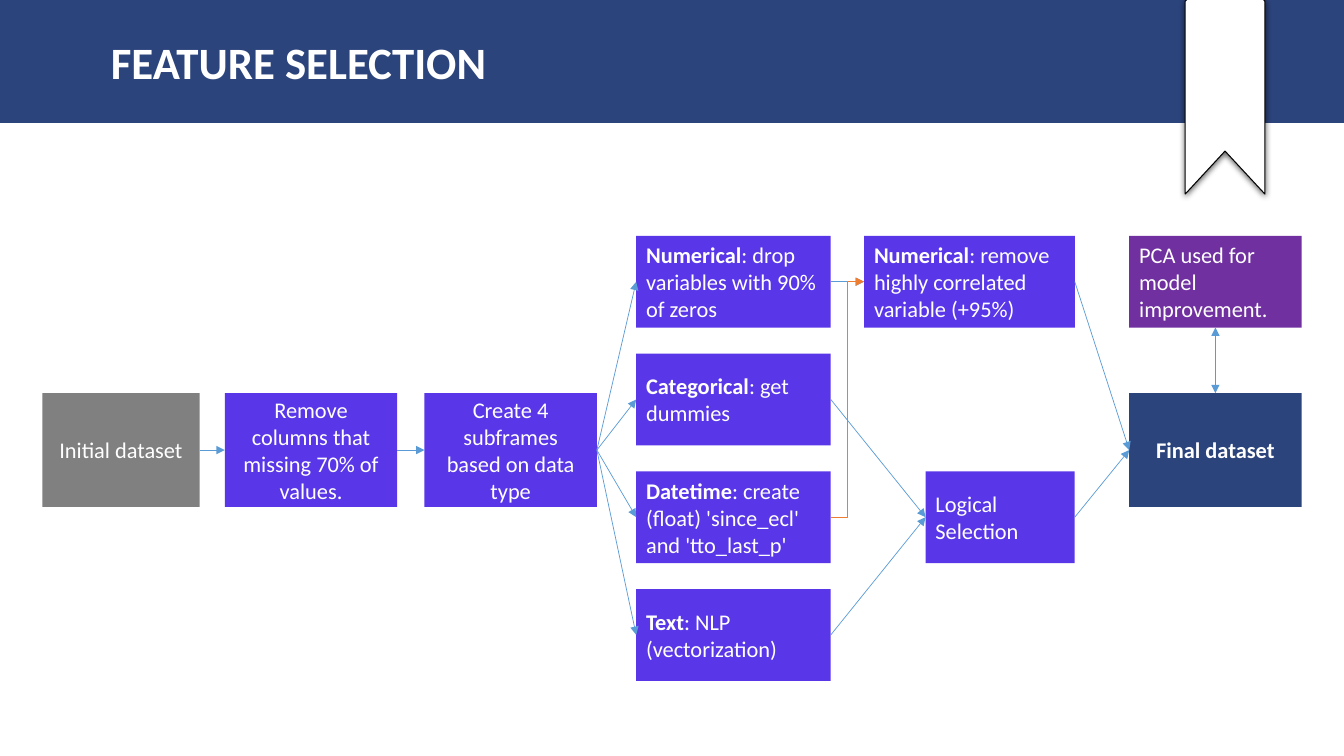
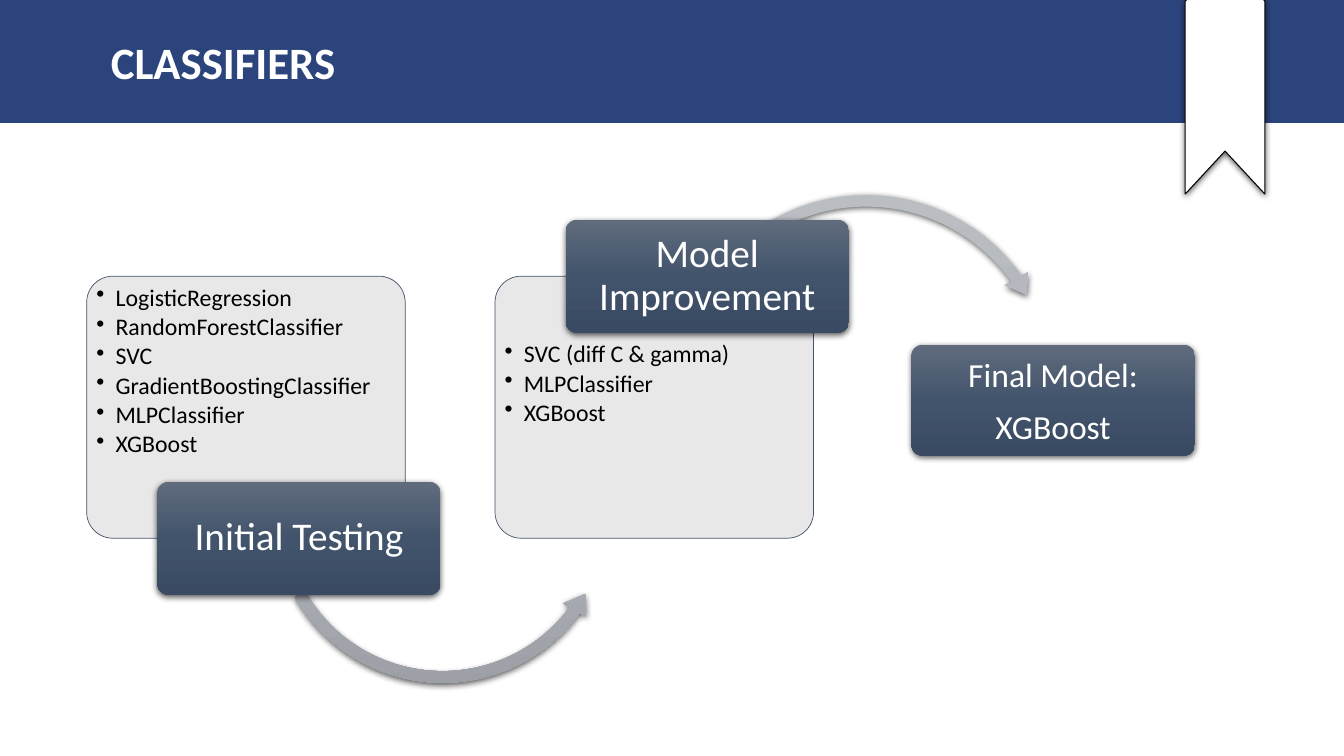
from copy import deepcopy
from dataclasses import dataclass
from lxml.etree import SubElement
from pptx import Presentation
from pptx.dml.color import RGBColor
from pptx.enum.shapes import MSO_CONNECTOR, MSO_SHAPE
from pptx.enum.text import MSO_ANCHOR, PP_ALIGN
from pptx.oxml.ns import qn
from pptx.util import Inches, Pt


@dataclass(frozen=True)
class Theme:
    font: str = "Calibri"
    title_size: int = 32
    button_size: int = 28
    result_size: int = 24
    list_size: int = 17
    node_size: int = 16
    white: str = "FFFFFF"
    black: str = "000000"
    navy: str = "2C447C"
    violet: str = "5937E9"
    purple: str = "7030A0"
    gray: str = "808080"
    card: str = "E9E8E8"
    slate: str = "44546A"
    link: str = "5B9BD5"
    accent: str = "ED7D31"
    button: tuple = ("606B7D", "42546C", "394A62")
    swoosh: tuple = ("BABDC2", "B0B3BA", "9C9FA6")


theme = Theme()
deck = Presentation()
deck.slide_width, deck.slide_height = Inches(13.33), Inches(7.5)


def add_block(page, kind, place, fill, line=None, line_width=0.5, shadow=False, adjust=()):
    block = page.shapes.add_shape(kind, *map(Inches, place))
    for index, value in enumerate(adjust):
        block.adjustments[index] = value
    if isinstance(fill, tuple):
        block.fill.gradient()
        block.fill.gradient_angle = 270
        stop_list = block.element.spPr.find(".//" + qn("a:gsLst"))
        stop_list.insert(1, deepcopy(stop_list[0]))
        for stop, color, position in zip(block.fill.gradient_stops, fill, (0, 0.5, 1)):
            stop.color.rgb, stop.position = RGBColor.from_string(color), position
    else:
        block.fill.solid()
        block.fill.fore_color.rgb = RGBColor.from_string(fill)
    if line:
        block.line.color.rgb = RGBColor.from_string(line)
        block.line.width = Pt(line_width)
    else:
        block.line.fill.background()
    block.shadow.inherit = False
    if shadow:
        effects = block.element.spPr.find(qn("a:effectLst"))
        outer = SubElement(effects, qn("a:outerShdw"), blurRad=str(Pt(4.5)),
                           dist=str(Pt(1.5)), dir="5400000", rotWithShape="0")
        shade = SubElement(outer, qn("a:srgbClr"), val=theme.black)
        SubElement(shade, qn("a:alpha"), val="63000")
    return block


def write(box, text, size, lead="", color=theme.white, bold=False, align=PP_ALIGN.LEFT,
          anchor=MSO_ANCHOR.MIDDLE, insets=(0.1, 0.05, 0.1, 0.05), spacing=None,
          after=0, bullet=False):
    frame = box.text_frame
    frame.word_wrap = True
    frame.vertical_anchor = anchor
    frame.margin_left, frame.margin_top, frame.margin_right, frame.margin_bottom = map(Inches, insets)
    for index, content in enumerate(text.split("\n")):
        para = frame.add_paragraph() if index else frame.paragraphs[0]
        para.alignment, para.line_spacing = align, spacing
        para.space_after = Pt(after * size)
        if bullet:
            settings = para._p.get_or_add_pPr()
            settings.set("marL", str(Inches(0.19)))
            settings.set("indent", str(-Inches(0.19)))
            SubElement(settings, qn("a:buChar"), char="•")
        for words, heavy in ((lead, True), (content, bold)):
            if words:
                span = para.add_run()
                span.text = words
                span.font.name, span.font.size, span.font.bold = theme.font, Pt(size), heavy
                span.font.color.rgb = RGBColor.from_string(color)


pages = []
for title in ("FEATURE SELECTION", "CLASSIFIERS"):
    page = deck.slides.add_slide(deck.slide_layouts[6])
    band = add_block(page, MSO_SHAPE.RECTANGLE, (0, 0, 13.33, 1.22), theme.navy)
    write(band, title, theme.title_size, bold=True, insets=(1.1, 0.05, 0.1, 0.05))
    ribbon = add_block(page, MSO_SHAPE.NOTCHED_RIGHT_ARROW, (10.98, 0.36, 2.34, 0.79), theme.white,
                       line=theme.black, line_width=0.75, shadow=True, adjust=(1, 0.54))
    ribbon.rotation = 270
    pages.append(page)
selection, classifiers = pages

main_row, main_height = 3.9, 1.13
branch_rows = [2.34 + 1.168 * row for row in range(4)]
branch_height = 0.91
nodes = {}

for name, left, width, fill, text in (
    ("initial", 0.42, 1.56, theme.gray, "Initial dataset"),
    ("remove", 2.23, 1.71, theme.violet, "Remove columns that missing 70% of values."),
    ("split", 4.21, 1.71, theme.violet, "Create 4 subframes based on data type"),
    ("final", 11.2, 1.71, theme.navy, "Final dataset"),
):
    nodes[name] = add_block(selection, MSO_SHAPE.RECTANGLE, (left, main_row, width, main_height), fill)
    write(nodes[name], text, theme.node_size, bold=name == "final", align=PP_ALIGN.CENTER)

for name, left, row, width, fill, lead, text in (
    ("numerical", 6.31, 0, 1.93, theme.violet, "Numerical", ": drop variables with 90% of zeros"),
    ("categorical", 6.31, 1, 1.93, theme.violet, "Categorical", ": get dummies"),
    ("datetime", 6.31, 2, 1.93, theme.violet, "Datetime", ": create (float) 'since_ecl' and 'tto_last_p'"),
    ("text", 6.31, 3, 1.93, theme.violet, "Text", ": NLP (vectorization)"),
    ("correlated", 8.57, 0, 2.09, theme.violet, "Numerical", ": remove highly correlated variable (+95%)"),
    ("logical", 9.18, 2, 1.48, theme.violet, "", "Logical Selection"),
    ("pca", 11.2, 0, 1.71, theme.purple, "", "PCA used for model improvement."),
):
    nodes[name] = add_block(selection, MSO_SHAPE.RECTANGLE,
                            (left, branch_rows[row], width, branch_height), fill)
    write(nodes[name], text, theme.node_size, lead=lead)

top, left_side, bottom, right_side = range(4)
for start, end in (
    ("initial", "remove"), ("remove", "split"),
    ("split", "numerical"), ("split", "categorical"), ("split", "datetime"), ("split", "text"),
    ("numerical", "correlated"), ("datetime", "correlated"),
    ("categorical", "logical"), ("text", "logical"),
    ("correlated", "final"), ("logical", "final"), ("pca", "final"),
):
    bent = (start, end) == ("datetime", "correlated")
    vertical = start == "pca"
    arrow = selection.shapes.add_connector(
        MSO_CONNECTOR.ELBOW if bent else MSO_CONNECTOR.STRAIGHT, 0, 0, 0, 0)
    arrow.begin_connect(nodes[start], bottom if vertical else right_side)
    arrow.end_connect(nodes[end], top if vertical else left_side)
    arrow.line.color.rgb = RGBColor.from_string(theme.accent if bent else theme.link)
    arrow.line.width = Pt(0.5)
    outline = arrow.line._get_or_add_ln()
    if vertical:
        SubElement(outline, qn("a:headEnd"), type="triangle")
    SubElement(outline, qn("a:tailEnd"), type="triangle")
    SubElement(arrow._element.spPr, qn("a:effectLst"))

first_tests = "\n".join(("LogisticRegression", "RandomForestClassifier", "SVC",
                         "GradientBoostingClassifier", "MLPClassifier", "XGBoost"))
improved_tests = "\n".join(("SVC (diff C & gamma)", "MLPClassifier", "XGBoost"))

for card_left, list_top, models, button_top, label, swoosh_kind, swoosh_place, swoosh_adjust in (
    (0.86, 0.02, first_tests, 4.78, "Initial Testing", MSO_SHAPE.LEFT_CIRCULAR_ARROW,
     (2.63, 3.33, 3.52, 3.52), (0.033, 4.031, 21.786, 90.245, 0.038)),
    (4.91, 0.58, improved_tests, 2.18, "Model Improvement", MSO_SHAPE.CIRCULAR_ARROW,
     (6.63, 1.86, 3.92, 3.92), (0.029, 3.588, 194.813, 125.911, 0.034)),
):
    card = add_block(classifiers, MSO_SHAPE.ROUNDED_RECTANGLE, (card_left, 2.74, 3.16, 2.6),
                     theme.card, line=theme.slate, adjust=(0.1,))
    write(card, models, theme.list_size, color=theme.black, anchor=MSO_ANCHOR.TOP,
          insets=(0.02, list_top, 0.02, 0.02), spacing=0.9, after=0.15, bullet=True)
    add_block(classifiers, swoosh_kind, swoosh_place, theme.swoosh, shadow=True, adjust=swoosh_adjust)
    button = add_block(classifiers, MSO_SHAPE.ROUNDED_RECTANGLE, (card_left + 0.7, button_top, 2.81, 1.12),
                       theme.button, shadow=True, adjust=(0.1,))
    write(button, label, theme.button_size, align=PP_ALIGN.CENTER,
          insets=(0.06, 0.04, 0.06, 0.04), spacing=0.9)

result = add_block(classifiers, MSO_SHAPE.ROUNDED_RECTANGLE, (9.04, 3.42, 2.81, 1.1),
                   theme.button, shadow=True, adjust=(0.1,))
write(result, "Final Model:\nXGBoost", theme.result_size, align=PP_ALIGN.CENTER,
      insets=(0.05, 0.03, 0.05, 0.03), after=0.35)

deck.save("out.pptx")
